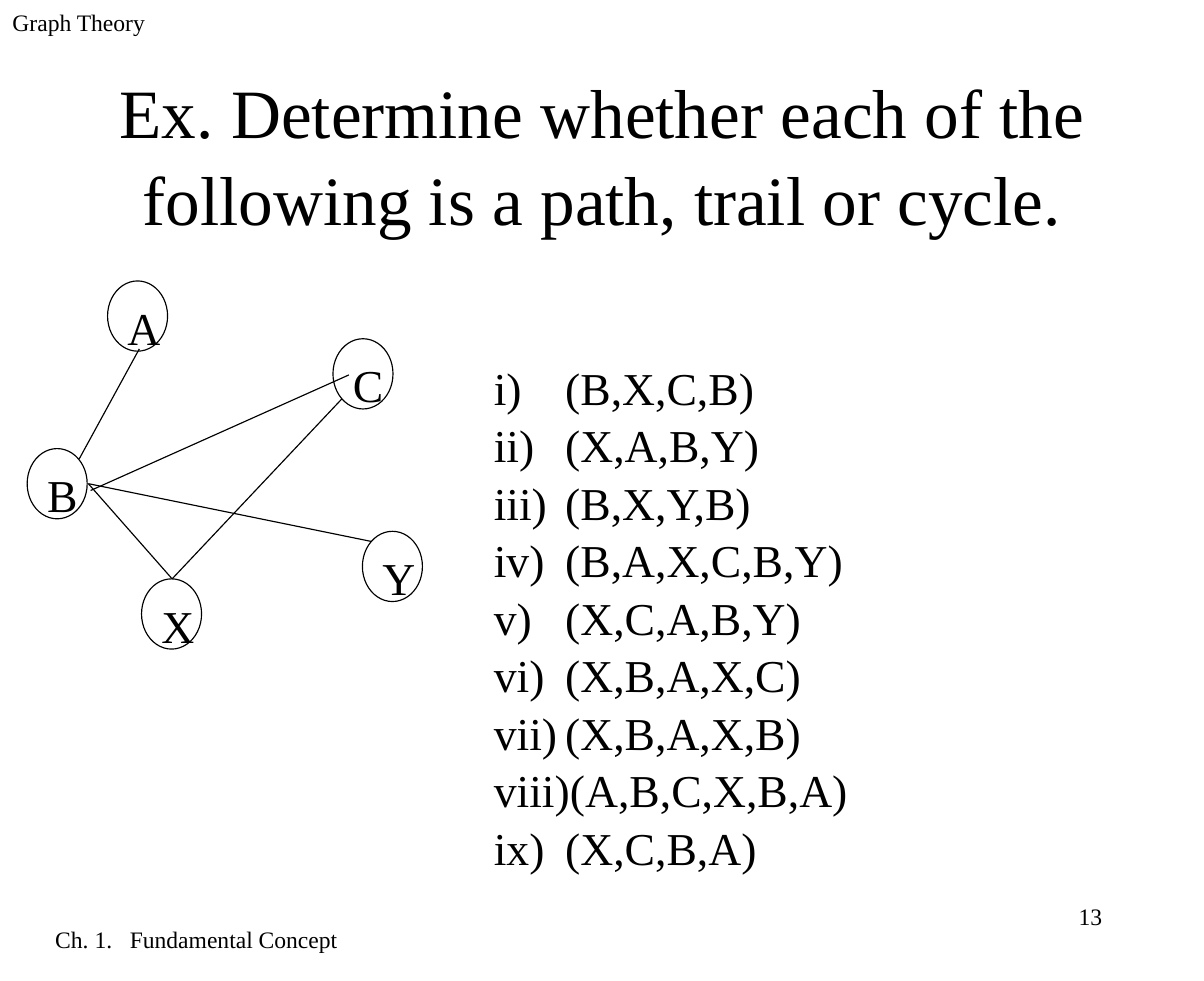
"""Build a graph theory exercise slide with a small graph and a list of walks."""
from dataclasses import dataclass

from lxml import etree
from pptx import Presentation
from pptx import util as u
from pptx.dml.color import RGBColor
from pptx.enum import shapes, text
from pptx.oxml.ns import qn

FONT = "Times New Roman"
BLACK = "000000"
WHITE = "FFFFFF"
LEFT, CENTER, RIGHT = text.PP_ALIGN.LEFT, text.PP_ALIGN.CENTER, text.PP_ALIGN.RIGHT
NODE_WIDTH, NODE_HEIGHT = 0.53, 0.62


@dataclass
class Label:
    wording: str
    left: float
    top: float
    width: float
    align: text.PP_ALIGN


@dataclass
class Node:
    name: str
    left: float
    top: float


@dataclass
class Edge:
    start: tuple[float, float]
    end: tuple[float, float]


LABELS = [
    Label("Graph Theory", 0, 0, 2.22, LEFT),
    Label("Ch. 1.   Fundamental Concept", 0, 8.09, 3.47, CENTER),
    Label("13", 7.62, 7.89, 2.22, RIGHT),
]
NODES = [
    Node("A", 0.95, 2.48),
    Node("B", 0.24, 3.96),
    Node("X", 1.25, 5.11),
    Node("Y", 3.2, 4.69),
    Node("C", 2.94, 2.99),
]
EDGES = [
    Edge((0.78, 4.27), (1.52, 5.11)),
    Edge((1.23, 3.08), (0.7, 4.05)),
    Edge((3.08, 3.31), (0.8, 4.33)),
    Edge((3.02, 3.52), (1.52, 5.11)),
    Edge((0.78, 4.27), (3.28, 4.78)),
]
WALKS = [
    "(B,X,C,B)", "(X,A,B,Y)", "(B,X,Y,B)", "(B,A,X,C,B,Y)", "(X,C,A,B,Y)",
    "(X,B,A,X,C)", "(X,B,A,X,B)", "(A,B,C,X,B,A)", "(X,C,B,A)",
]


def color(value: str) -> RGBColor:
    return RGBColor.from_string(value)


def place(shape, left: float, top: float, width: float, height: float) -> None:
    shape.left, shape.top = u.Inches(left), u.Inches(top)
    shape.width, shape.height = u.Inches(width), u.Inches(height)


def prepare_frame(shape, side: float, edge: float, anchor=text.MSO_ANCHOR.TOP):
    frame = shape.text_frame
    frame.word_wrap = True
    frame.auto_size = text.MSO_AUTO_SIZE.NONE
    frame.vertical_anchor = anchor
    frame.margin_left = frame.margin_right = u.Inches(side)
    frame.margin_top = frame.margin_bottom = u.Inches(edge)
    return frame


def write(paragraph, wording: str, size: float, align=LEFT) -> None:
    paragraph.alignment = align
    paragraph.line_spacing = 1.05
    paragraph.space_before = u.Pt(0)
    run = paragraph.add_run()
    run.text = wording
    run.font.name = FONT
    run.font.size = u.Pt(size)
    run.font.color.rgb = color(BLACK)


def number_roman(paragraph) -> None:
    properties = paragraph._p.get_or_add_pPr()
    properties.set("marL", str(u.Inches(0.63)))
    properties.set("indent", str(u.Inches(-0.63)))
    bullet_color = etree.SubElement(properties, qn("a:buClr"))
    etree.SubElement(bullet_color, qn("a:srgbClr"), val=BLACK)
    etree.SubElement(properties, qn("a:buFont"), typeface=FONT)
    etree.SubElement(properties, qn("a:buAutoNum"), type="romanLcParenR")


def fill_title(shape) -> None:
    place(shape, 0.8, 0.77, 9.04, 1.15)
    frame = prepare_frame(shape, 0.11, 0.06, text.MSO_ANCHOR.MIDDLE)
    wording = "Ex. Determine whether each of the following is a path, trail or cycle."
    write(frame.paragraphs[0], wording, 44, CENTER)


def fill_walks(shape) -> None:
    place(shape, 4.26, 3.1, 5.12, 4.45)
    frame = prepare_frame(shape, 0.1, 0.05)
    for index, walk in enumerate(WALKS):
        paragraph = frame.add_paragraph() if index else frame.paragraphs[0]
        number_roman(paragraph)
        write(paragraph, walk, 29)


def add_label(slide, label: Label) -> None:
    box = slide.shapes.add_textbox(
        u.Inches(label.left), u.Inches(label.top), u.Inches(label.width), u.Inches(0.58))
    frame = prepare_frame(box, 0.11, 0.06)
    write(frame.paragraphs[0], label.wording, 15, label.align)


def add_node(slide, node: Node) -> None:
    shape = slide.shapes.add_shape(
        shapes.MSO_SHAPE.OVAL, u.Inches(node.left), u.Inches(node.top),
        u.Inches(NODE_WIDTH), u.Inches(NODE_HEIGHT))
    shape.shadow.inherit = False
    shape.fill.solid()
    shape.fill.fore_color.rgb = color(WHITE)
    shape.line.color.rgb = color(BLACK)
    shape.line.width = u.Pt(0.75)
    frame = prepare_frame(shape, 0.1, 0.05)
    write(frame.paragraphs[0], node.name, 29)


def add_edge(slide, edge: Edge) -> None:
    ends = [u.Inches(value) for value in edge.start + edge.end]
    connector = slide.shapes.add_connector(shapes.MSO_CONNECTOR.STRAIGHT, *ends)
    connector.line.color.rgb = color(BLACK)
    connector.line.width = u.Pt(0.75)
    etree.SubElement(connector._element.spPr, qn("a:effectLst"))


def main() -> None:
    presentation = Presentation()
    presentation.slide_width = u.Inches(10.63)
    presentation.slide_height = u.Inches(8.66)
    slide = presentation.slides.add_slide(presentation.slide_layouts[1])
    fill_title(slide.shapes.title)
    fill_walks(slide.placeholders[1])
    for label in LABELS:
        add_label(slide, label)
    for node in NODES:
        add_node(slide, node)
    for edge in EDGES:
        add_edge(slide, edge)
    presentation.save("out.pptx")


if __name__ == "__main__":
    main()
